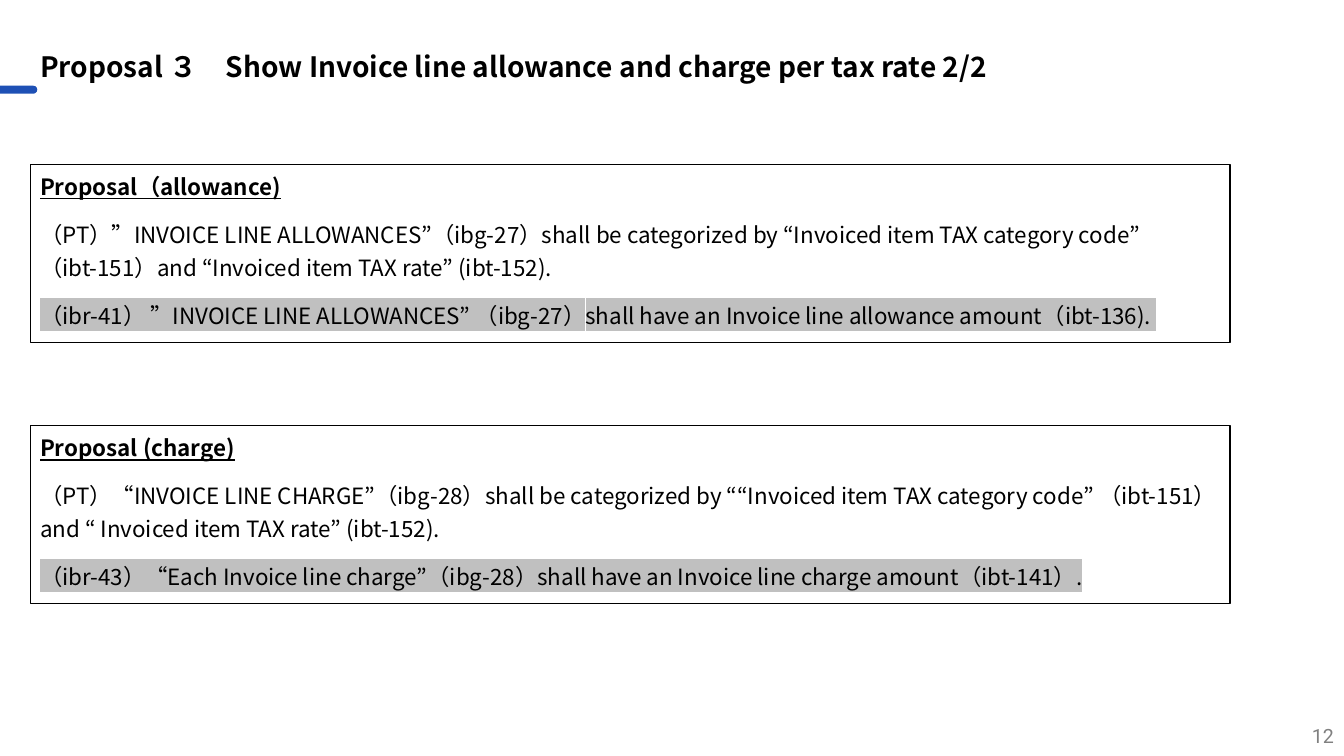
from lxml import etree
from pptx import Presentation
from pptx import util as u
from pptx.dml.color import RGBColor
from pptx.enum import shapes, text
from pptx.oxml.ns import qn

COLOURS = {"ink": "000000", "accent": "1E50B5", "number": "808080", "marker": "C0C0C0"}
SANS, NUMERALS = "Noto Sans CJK JP", "Roboto"
LEFT = 0.3

PROPOSALS = [
    (1.63, "Proposal（allowance)",
     "（PT）”INVOICE LINE ALLOWANCES”（ibg-27）shall be categorized by "
     "“Invoiced item TAX category code” （ibt-151）and “Invoiced item TAX rate” (ibt-152).",
     "（ibr-41） ”INVOICE LINE ALLOWANCES” （ibg-27）shall have an "
     "Invoice line allowance amount（ibt-136). "),
    (4.22, "Proposal (charge)",
     "（PT）“INVOICE LINE CHARGE”（ibg-28）shall be categorized by "
     "““Invoiced item TAX category code” （ibt-151）and “ Invoiced item TAX rate” (ibt-152).",
     "（ibr-43）“Each Invoice line charge”（ibg-28）shall have an "
     "Invoice line charge amount（ibt-141）."),
]


def apply(target, values):
    """Set each attribute named in a dict."""
    for name, value in values.items():
        setattr(target, name, value)


class Page:
    """The current slide and its style."""

    def __init__(self, deck):
        """Add a blank slide to the deck."""
        self.shapes = deck.slides.add_slide(deck.slide_layouts[6]).shapes

    def colour(self, name):
        """Look up a colour by its role."""
        return RGBColor.from_string(COLOURS[name])

    def add_span(self, para, words, font=SANS, colour="ink", marker=None, layout=None, **style):
        """Fill a paragraph with one styled span."""
        apply(para, layout or {})
        span = para.add_run()
        span.text = words
        apply(span.font, {"name": font, **style})
        span.font.color.rgb = self.colour(colour)
        latin = span.font._element.find(qn("a:latin"))
        east_asian = etree.Element(qn("a:ea"), typeface=font)
        latin.addnext(east_asian)
        if marker:
            highlight = etree.Element(qn("a:highlight"))
            etree.SubElement(highlight, qn("a:srgbClr"), val=COLOURS[marker])
            latin.addprevious(highlight)

    def label(self, place, words, **style):
        """Add a one-line, vertically centred text box."""
        box = self.shapes.add_textbox(*map(u.Inches, place))
        apply(box.text_frame, {"word_wrap": True, "vertical_anchor": text.MSO_ANCHOR.MIDDLE})
        self.add_span(box.text_frame.paragraphs[0], words, **style)

    def shape(self, kind, place, fill=None, line=None):
        """Add a flat preset shape."""
        box = self.shapes.add_shape(kind, *map(u.Inches, place))
        box.shadow.inherit = False
        if fill:
            box.fill.solid()
            box.fill.fore_color.rgb = self.colour(fill)
        else:
            box.fill.background()
        if line:
            box.line.color.rgb = self.colour(line)
            box.line.width = u.Pt(0.75)
        else:
            box.line.fill.background()
        return box

    def proposal(self, top, heading, rule, marked_rule):
        """Add a framed proposal: heading, rule and highlighted rule."""
        box = self.shape(shapes.MSO_SHAPE.RECTANGLE, (LEFT, top, 11.9, 1.77), line="ink")
        frame = box.text_frame
        apply(frame, {"word_wrap": True, "vertical_anchor": text.MSO_ANCHOR.TOP})
        rows = [
            (heading, 22, {"bold": True, "underline": True}),
            (rule, 24, {}),
            (marked_rule, 24, {"marker": "marker"}),
        ]
        for index, (words, spacing, style) in enumerate(rows):
            para = frame.add_paragraph() if index else frame.paragraphs[0]
            layout = {"alignment": text.PP_ALIGN.LEFT, "line_spacing": u.Pt(spacing),
                      "space_before": u.Pt(10)}
            self.add_span(para, words, layout=layout, size=u.Pt(16), **style)


def main():
    """Build and save the deck."""
    deck = Presentation()
    apply(deck, {"slide_width": u.Inches(13.33), "slide_height": u.Inches(7.5)})
    page = Page(deck)
    bar = page.shape(shapes.MSO_SHAPE.ROUNDED_RECTANGLE, (-0.1, 0.85, 0.47, 0.08), fill="accent")
    bar.adjustments[0] = 0.5
    page.label((10.33, 7.1, 3, 0.4), "12", font=NUMERALS, colour="number", size=u.Pt(14),
               layout={"alignment": text.PP_ALIGN.RIGHT})
    for proposal in PROPOSALS:
        page.proposal(*proposal)
    page.label((LEFT, 0.48, 11.95, 0.4),
               "Proposal ３\u3000Show Invoice line allowance and charge per tax rate 2/2",
               size=u.Pt(20), bold=True, layout={"line_spacing": 0.9})
    deck.save("out.pptx")


main()
